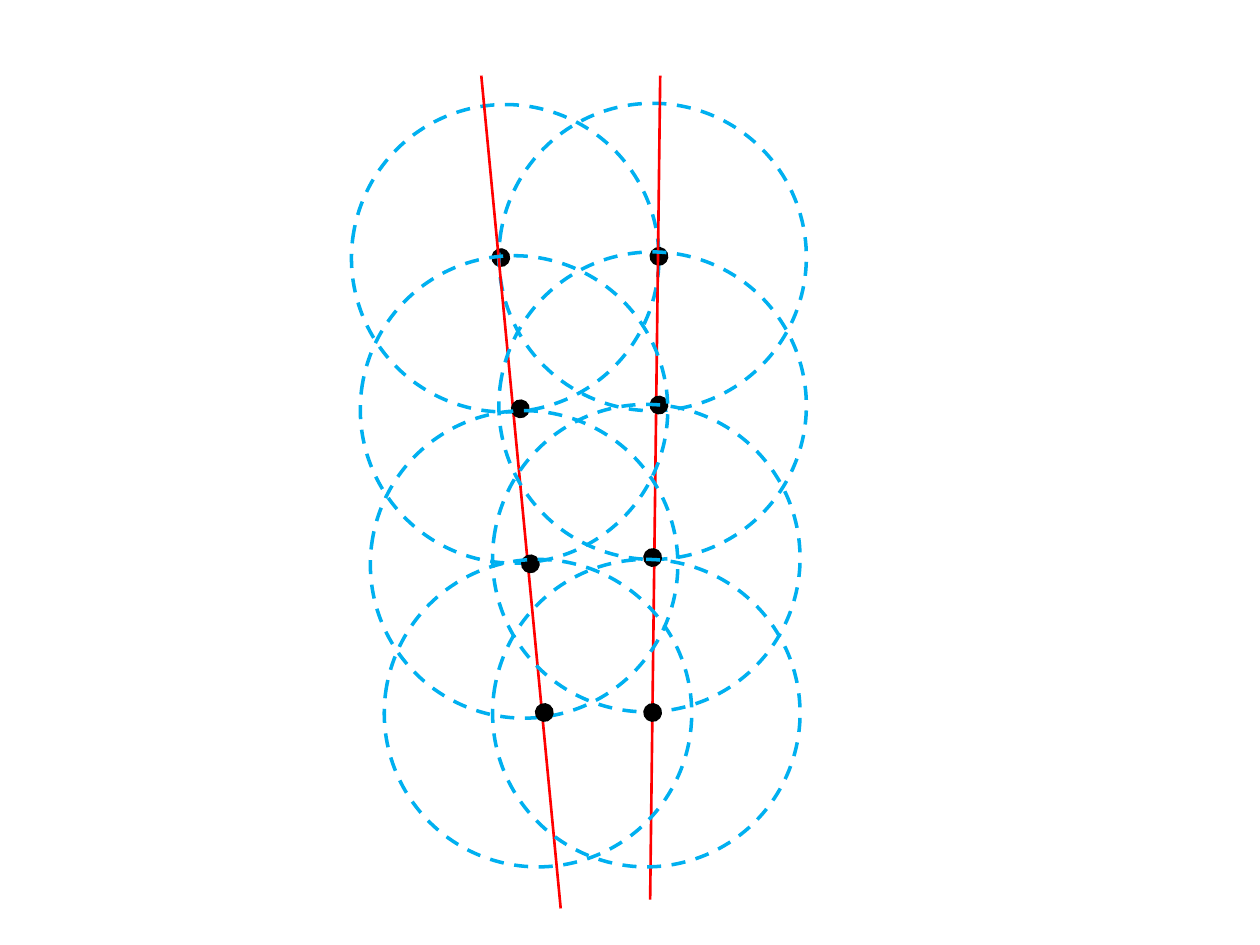
from pptx import Presentation, util as u
from pptx.dml.color import RGBColor
from pptx.enum import dml, shapes
from pptx.oxml.ns import qn
from lxml import etree

SLIDE_WIDTH, SLIDE_HEIGHT = u.Inches(10), u.Inches(7.5)

# Lengths are percentages of the slide width, on both axes
RING_SIZE, DOT_SIZE = 24.4, 1.5
DOT_RIGHT, DOT_DOWN = 11.95, 11.4
TILT = 7.2
BLUE, BLACK, RED = "00B0F0", "000000", "FF0000"

# Left and top of each ring, then the dot's shift to the right
TOP_RINGS = [(27.9, 8.3, 11.1), (39.6, 8.2, DOT_RIGHT)]
LOWER_RINGS = [
    (39.6, 20, DOT_RIGHT), (28.6, 20.3, DOT_RIGHT),
    (29.4, 32.6, DOT_RIGHT), (39.1, 32.1, DOT_RIGHT),
    (39.1, 44.4, DOT_RIGHT), (30.5, 44.4, DOT_RIGHT),
]
# Start and end of each straight line
TRACKS = [(38.2, 6, 44.5, 72.1), (52.4, 6, 51.6, 71.4)]


def share(percent):
    return u.Emu(round(SLIDE_WIDTH * percent / 100))


def color(hex_text):
    return RGBColor.from_string(hex_text)


def add_circle(group, left, top, size):
    circle = group.shapes.add_shape(
        shapes.MSO_SHAPE.OVAL, share(left), share(top), share(size), share(size))
    circle.rotation = TILT
    circle.shadow.inherit = False
    return circle


def add_ring_with_dot(page, left, top, dot_right):
    group = page.shapes.add_group_shape()
    ring = add_circle(group, left, top, RING_SIZE)
    ring.fill.background()
    ring.line.color.rgb = color(BLUE)
    ring.line.width = u.Pt(2)
    ring.line.dash_style = dml.MSO_LINE.DASH

    dot = add_circle(group, left + dot_right, top + DOT_DOWN, DOT_SIZE)
    dot.fill.solid()
    dot.fill.fore_color.rgb = color(BLACK)
    dot.line.fill.background()


def add_track(page, *ends):
    track = page.shapes.add_connector(
        shapes.MSO_CONNECTOR.STRAIGHT, *map(share, ends))
    track.line.color.rgb = color(RED)
    track.line.width = u.Pt(1.5)
    # An empty effect list removes the theme shadow
    etree.SubElement(track._element.spPr, qn("a:effectLst"))


def main():
    deck = Presentation()
    deck.slide_width, deck.slide_height = SLIDE_WIDTH, SLIDE_HEIGHT
    page = deck.slides.add_slide(deck.slide_layouts[6])

    # The lines lie above the top pair and below the other rings
    for ring in TOP_RINGS:
        add_ring_with_dot(page, *ring)
    for track in TRACKS:
        add_track(page, *track)
    for ring in LOWER_RINGS:
        add_ring_with_dot(page, *ring)

    deck.save("out.pptx")


if __name__ == "__main__":
    main()
